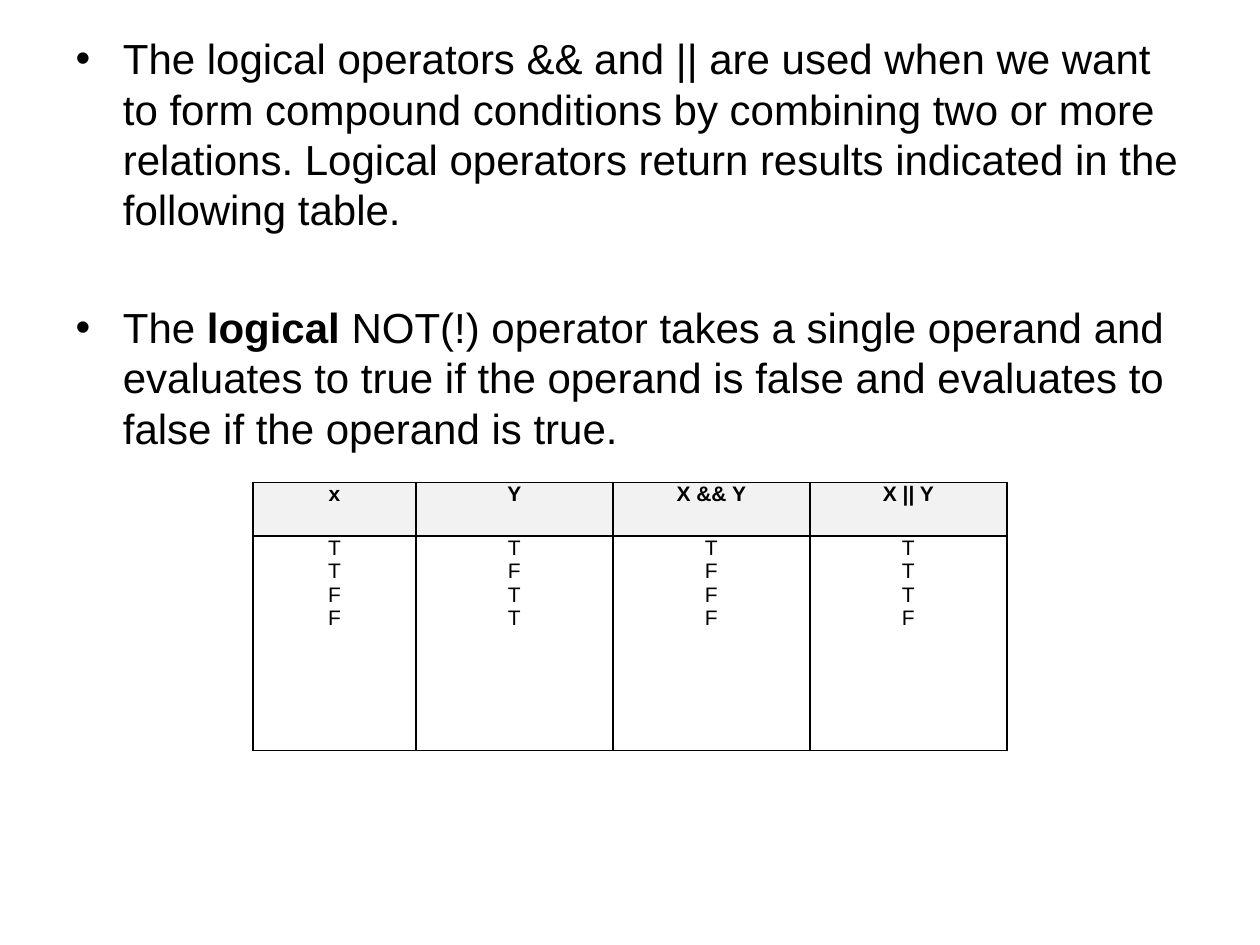
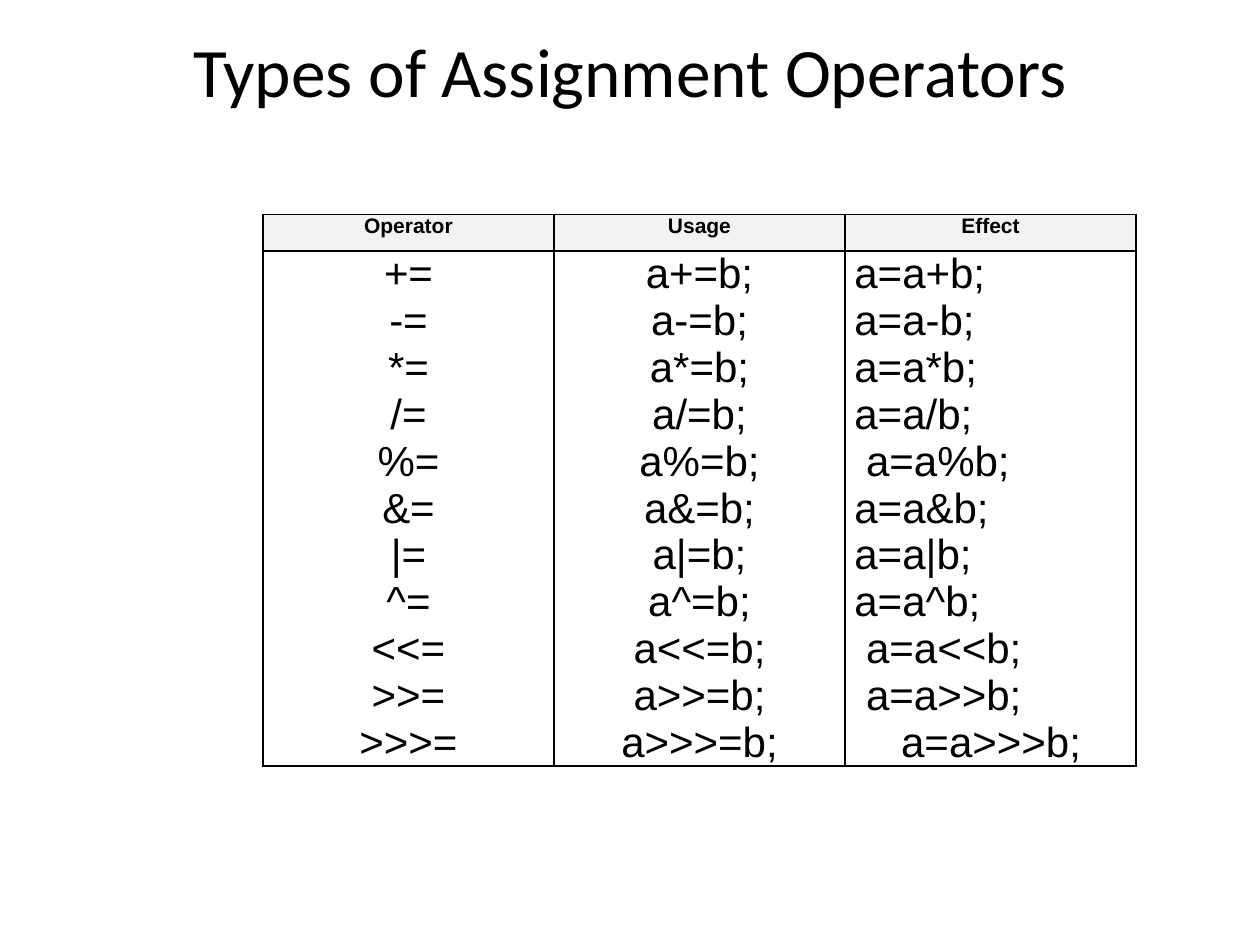
from dataclasses import dataclass, field

import pptx
import pptx.util
import pptx.dml.color
import pptx.enum.text
import pptx.oxml
import pptx.oxml.ns
import pptx.slide
import pptx.table
import pptx.text.text

Pt = pptx.util.Pt
Color = pptx.dml.color.RGBColor
Align = pptx.enum.text.PP_ALIGN


@dataclass(frozen=True)
class Theme:
    ink: Color = Color.from_string("000000")
    paper: Color = Color.from_string("FFFFFF")
    header_fill: Color = Color.from_string("F2F2F2")
    text_font: str = "Arial"
    title_font: str = "Calibri"
    title_size: float = 39.6
    body_size: float = 24
    small_size: float = 12
    border_width: float = 1
    cell_margin: float = 5.4


THEME = Theme()


@dataclass(frozen=True)
class Column:
    heading: str
    width: float
    lines: list[str]
    align: Align = Align.CENTER
    indents: dict[str, float] = field(default_factory=dict)


@dataclass(frozen=True)
class Grid:
    left: float
    top: float
    header_height: float
    body_height: float
    body_size: float
    columns: list[Column]


@dataclass(frozen=True)
class Bullet:
    pieces: list[str]
    bold_piece: str = ""
    space_before: float = 0


OPERATORS = ["+=", "-=", "*=", "/=", "%=", "&=", "|=", "^=", "<<=", ">>=", ">>>="]
EFFECTS = [f"a=a{operator[:-1]}b;" for operator in OPERATORS]
EFFECT_INDENTS = {"a=a%b;": 6.67, "a=a<<b;": 6.67, "a=a>>b;": 6.67, "a=a>>>b;": 26.7}

BULLETS = [
    Bullet(["The logical operators && and || are used when we want to form compound "
            "conditions by combining two or more relations. Logical operators return "
            "results indicated in the following table."]),
    Bullet(["The ", "logical ", "NOT(!) operator takes a single operand and evaluates "
            "to true if the operand is false and evaluates to false if the operand is true."],
           bold_piece="logical ", space_before=38.4),
]

TRUTH_TABLE = Grid(
    left=144.7, top=275.8, header_height=30.6, body_height=122.4,
    body_size=THEME.small_size,
    columns=[
        Column("x", 92.9, list("TTFF")),
        Column("Y", 112.6, list("TFTT")),
        Column("X && Y", 112.6, list("TFFF")),
        Column("X || Y", 112.6, list("TTTF")),
    ],
)

ASSIGNMENT_TABLE = Grid(
    left=150.3, top=122.5, header_height=20.9, body_height=294,
    body_size=THEME.body_size,
    columns=[
        Column("Operator", 166.3, OPERATORS),
        Column("Usage", 166.3, [f"a{operator}b;" for operator in OPERATORS]),
        Column("Effect", 166.3, EFFECTS, Align.JUSTIFY, EFFECT_INDENTS),
    ],
)


def style_span(span: pptx.text.text._Run, font: str, size: float, bold: bool = False) -> None:
    span.font.name = font
    span.font.size = Pt(size)
    span.font.bold = bold
    span.font.color.rgb = THEME.ink


def place(box, left: float, top: float, width: float, height: float) -> None:
    box.left, box.top, box.width, box.height = map(Pt, (left, top, width, height))
    box.text_frame.word_wrap = True
    box.text_frame.auto_size = pptx.enum.text.MSO_AUTO_SIZE.NONE


def add_borders(cell: pptx.table._Cell) -> None:
    properties = cell._tc.get_or_add_tcPr()
    for side in ("lnL", "lnR", "lnT", "lnB"):
        properties.append(pptx.oxml.parse_xml(
            f'<a:{side} {pptx.oxml.ns.nsdecls("a")} w="{Pt(THEME.border_width)}">'
            f'<a:solidFill><a:srgbClr val="{THEME.ink}"/></a:solidFill></a:{side}>'))


def fill_cell(cell: pptx.table._Cell, lines: list[str], size: float, align: Align,
              fill: Color, bold: bool = False, indents: dict[str, float] | None = None) -> None:
    add_borders(cell)
    cell.fill.solid()
    cell.fill.fore_color.rgb = fill
    cell.margin_left = cell.margin_right = Pt(THEME.cell_margin)
    cell.margin_top = cell.margin_bottom = 0
    cell.text_frame.text = "\n".join(lines)
    for para in cell.text_frame.paragraphs:
        para.alignment = align
        indent = (indents or {}).get(para.text, 0)
        if indent:
            para._p.get_or_add_pPr().set("marL", str(Pt(indent)))
        for span in para.runs:
            style_span(span, THEME.text_font, size, bold)


def draw_grid(page: pptx.slide.Slide, grid: Grid) -> None:
    width = sum(column.width for column in grid.columns)
    table = page.shapes.add_table(
        2, len(grid.columns), Pt(grid.left), Pt(grid.top),
        Pt(width), Pt(grid.header_height + grid.body_height)).table
    table.first_row = table.horz_banding = False
    table.rows[0].height = Pt(grid.header_height)
    table.rows[1].height = Pt(grid.body_height)
    for index, column in enumerate(grid.columns):
        table.columns[index].width = Pt(column.width)
        fill_cell(table.cell(0, index), [column.heading], THEME.small_size,
                  Align.CENTER, THEME.header_fill, bold=True)
        fill_cell(table.cell(1, index), column.lines, grid.body_size,
                  column.align, THEME.paper, indents=column.indents)


def draw_bullets(page: pptx.slide.Slide, bullets: list[Bullet]) -> None:
    box = page.placeholders[1]
    place(box, 36, 15.1, 648, 510.5)
    for index, bullet in enumerate(bullets):
        para = box.text_frame.add_paragraph() if index else box.text_frame.paragraphs[0]
        para.space_before = Pt(bullet.space_before)
        for piece in bullet.pieces:
            span = para.add_run()
            span.text = piece
            style_span(span, THEME.text_font, THEME.body_size, piece == bullet.bold_piece)


def draw_title(page: pptx.slide.Slide, text: str) -> None:
    box = page.shapes.title
    place(box, 36, 21.6, 648, 36)
    box.text_frame.vertical_anchor = pptx.enum.text.MSO_ANCHOR.MIDDLE
    box.text_frame.text = text
    para = box.text_frame.paragraphs[0]
    para.alignment = Align.CENTER
    style_span(para.runs[0], THEME.title_font, THEME.title_size)


def add_page(deck, layout_name: str) -> pptx.slide.Slide:
    page = deck.slides.add_slide(deck.slide_layouts.get_by_name(layout_name))
    page.background.fill.solid()
    page.background.fill.fore_color.rgb = THEME.paper
    return page


def main() -> None:
    deck = pptx.Presentation()
    deck.slide_width, deck.slide_height = Pt(720), Pt(540)

    logic_page = add_page(deck, "Title and Content")
    title = logic_page.shapes.title.element
    title.getparent().remove(title)
    draw_bullets(logic_page, BULLETS)
    draw_grid(logic_page, TRUTH_TABLE)

    assignment_page = add_page(deck, "Title Only")
    draw_title(assignment_page, "Types of Assignment Operators")
    draw_grid(assignment_page, ASSIGNMENT_TABLE)

    deck.save("out.pptx")


if __name__ == "__main__":
    main()
